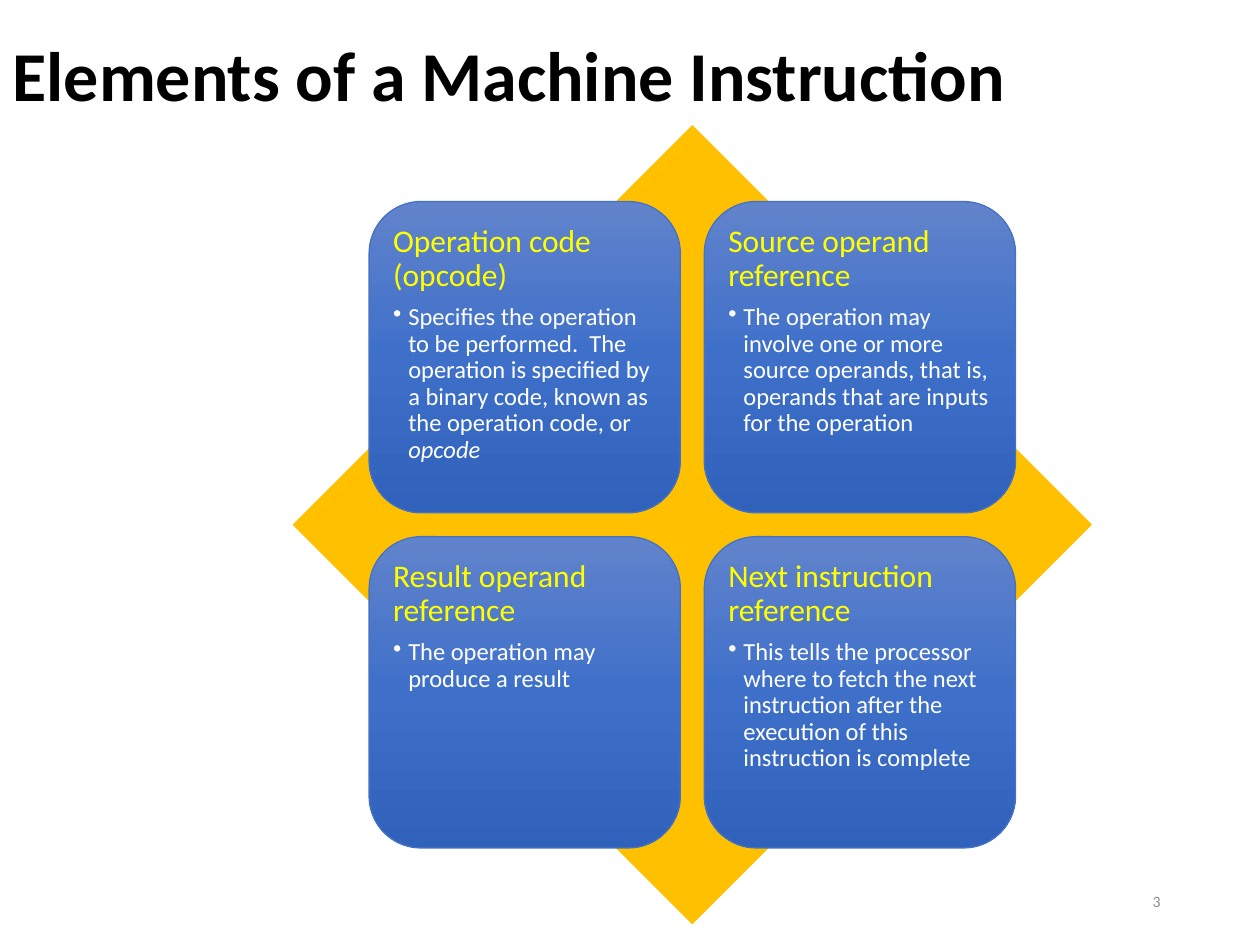
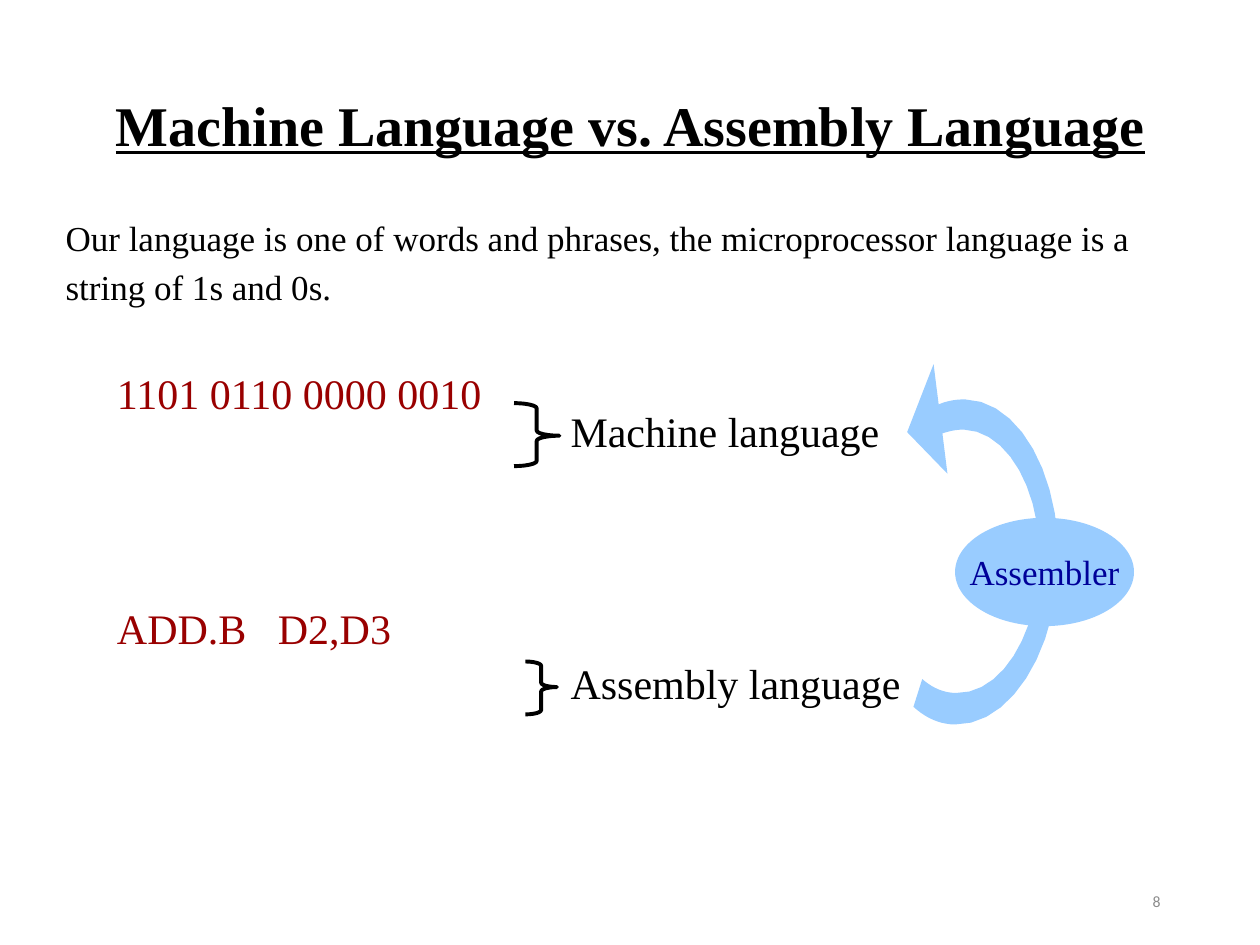
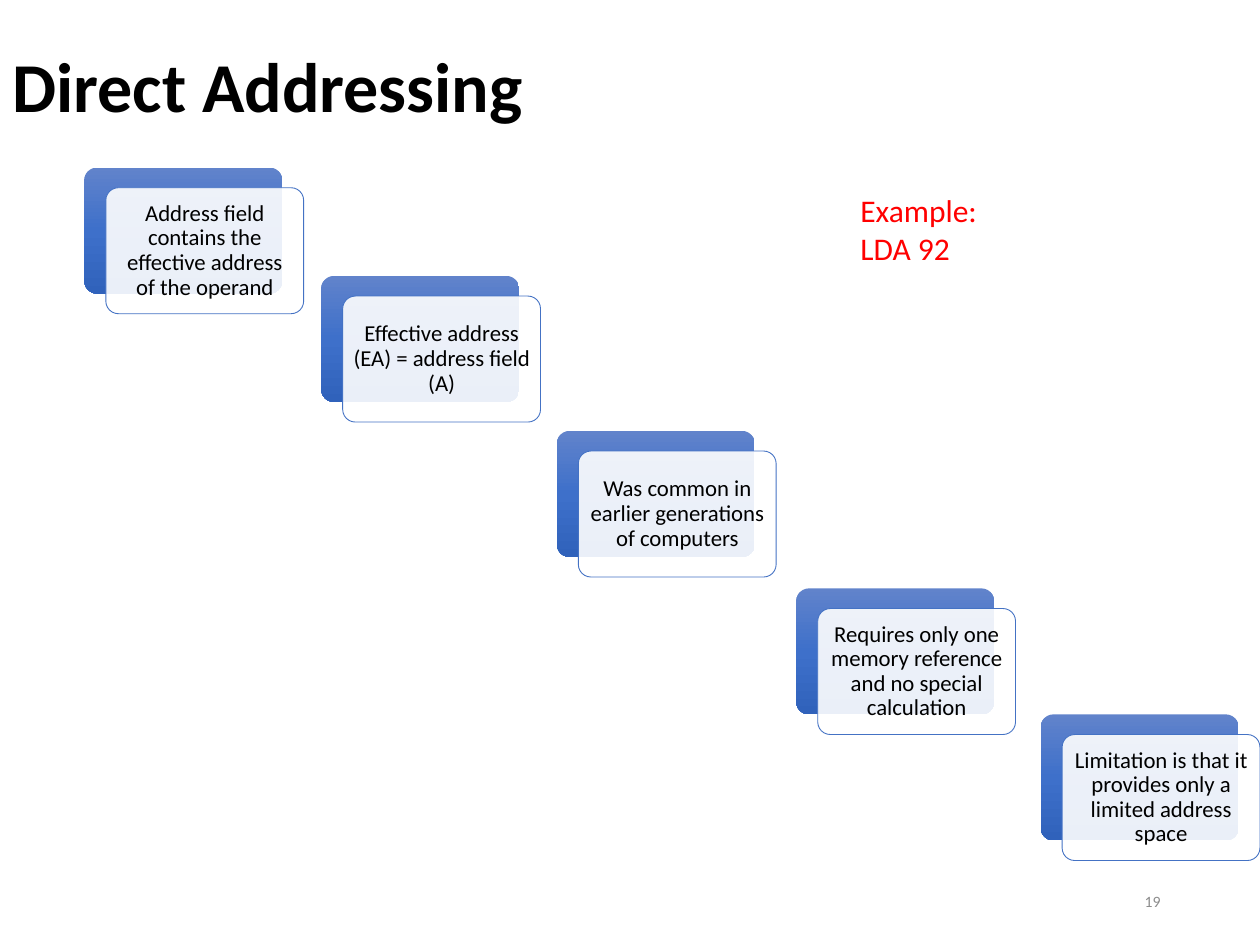
from copy import deepcopy

from pptx import Presentation
from pptx.dml.color import RGBColor
from pptx.enum.shapes import MSO_SHAPE
from pptx.enum.text import MSO_ANCHOR, MSO_AUTO_SIZE, PP_ALIGN
from pptx.oxml.ns import qn
from pptx.oxml.xmlchemy import OxmlElement
from pptx.util import Inches, Pt

SANS, SERIF = "Calibri", "Times New Roman"
BLACK, WHITE, GRAY = "000000", "FFFFFF", "8C8C8C"
BLUE, GOLD, YELLOW, RED = "4472C4", "FFC000", "FFFF00", "FF0000"
SKY, NAVY, MAROON = "99CCFF", "000099", "990000"
BLUE_GRADIENT = ["6183CB", "3E70CA", "3062BB"]
TITLE_ONLY, TITLE_AND_BODY = 5, 1


def color(value):
    return RGBColor.from_string(value)


def add_child(parent, tag, **attributes):
    child = OxmlElement(tag)
    for name, value in attributes.items():
        child.set(name, str(value))
    parent.append(child)


def write(para, text, size=18, fill=BLACK, font=SANS, bold=False, italic=False, underline=False):
    span = para.add_run()
    span.text = text
    style = span.font
    style.name, style.size = font, Pt(size)
    style.bold, style.italic, style.underline = bold, italic, underline
    style.color.rgb = color(fill)


def add_para(frame, align=PP_ALIGN.LEFT, spacing=1.0, after=0, bullet=None, indent=0):
    first = frame.paragraphs[0]
    para = frame.add_paragraph() if first.runs else first
    para.alignment, para.line_spacing = align, spacing
    para.space_before, para.space_after = Pt(0), Pt(after)
    properties = para._p.get_or_add_pPr()
    properties.set("marL", str(Inches(indent)))
    properties.set("indent", str(-Inches(indent)))
    if bullet:
        add_child(properties, "a:buChar", char=bullet)
    else:
        add_child(properties, "a:buNone")
    return para


def set_frame(frame, anchor=MSO_ANCHOR.TOP, inset=None, wrap=True):
    frame.auto_size = MSO_AUTO_SIZE.NONE
    frame.word_wrap, frame.vertical_anchor = wrap, anchor
    if inset is not None:
        frame.margin_left = frame.margin_right = Inches(inset)
        frame.margin_top = frame.margin_bottom = Inches(inset)
    return frame


def bezier(start, first, second, end, steps=10):
    points = []
    for step in range(1, steps + 1):
        t = step / steps
        weights = ((1 - t) ** 3, 3 * t * (1 - t) ** 2, 3 * t ** 2 * (1 - t), t ** 3)
        corners = (start, first, second, end)
        points.append(tuple(sum(w * c[axis] for w, c in zip(weights, corners)) for axis in (0, 1)))
    return points


class SlideBuilder:
    """Holds the shared style and adds elements to the current slide."""

    def __init__(self):
        self.deck = Presentation()
        self.deck.slide_width, self.deck.slide_height = Inches(10), Inches(7.5)

    def new_slide(self, number, layout=TITLE_ONLY):
        self.slide = self.deck.slides.add_slide(self.deck.slide_layouts[layout])
        frame = self.text_box(7.06, 6.95, 2.25, 0.4, anchor=MSO_ANCHOR.MIDDLE)
        write(add_para(frame, align=PP_ALIGN.RIGHT), str(number), size=9, fill=GRAY)

    def place(self, shape, left, top, width, height):
        shape.left, shape.top = Inches(left), Inches(top)
        shape.width, shape.height = Inches(width), Inches(height)
        return shape

    def title(self, text, left, top, width, height, anchor=MSO_ANCHOR.MIDDLE,
              align=PP_ALIGN.LEFT, spacing=0.9, size=40, **style):
        holder = self.place(self.slide.shapes.title, left, top, width, height)
        frame = set_frame(holder.text_frame, anchor)
        write(add_para(frame, align, spacing), text, size=size, bold=True, **style)

    def body(self, left, top, width, height):
        holder = self.place(self.slide.placeholders[1], left, top, width, height)
        return set_frame(holder.text_frame)

    def text_box(self, left, top, width, height, anchor=MSO_ANCHOR.TOP):
        box = self.slide.shapes.add_textbox(*map(Inches, (left, top, width, height)))
        return set_frame(box.text_frame, anchor)

    def label(self, text, left, top, width, height=0.5, **style):
        write(add_para(self.text_box(left, top, width, height)), text, **style)

    def paint(self, shape, fill=None, line=None, weight=0.75, alpha=None):
        shape.shadow.inherit = False
        if isinstance(fill, list):
            self.gradient(shape, fill)
        elif fill:
            shape.fill.solid()
            shape.fill.fore_color.rgb = color(fill)
        else:
            shape.fill.background()
        if alpha:
            paint = shape._element.spPr.find(qn("a:solidFill"))[0]
            add_child(paint, "a:alpha", val=alpha * 1000)
        if line:
            shape.line.color.rgb = color(line)
            shape.line.width = Pt(weight)
        else:
            shape.line.fill.background()
        return shape

    def gradient(self, shape, shades):
        shape.fill.gradient()
        shape.fill.gradient_angle = 270
        stops = shape._element.spPr.find(qn("a:gradFill")).find(qn("a:gsLst"))
        while len(stops) < len(shades):
            stops.append(deepcopy(stops[0]))
        for index, (stop, shade) in enumerate(zip(shape.fill.gradient_stops, shades)):
            stop.position = index / (len(shades) - 1)
            stop.color.rgb = color(shade)

    def shape(self, kind, left, top, width, height, adjust=(), **look):
        shape = self.slide.shapes.add_shape(kind, *map(Inches, (left, top, width, height)))
        for index, value in enumerate(adjust):
            shape.adjustments[index] = value
        return self.paint(shape, **look)

    def outline(self, points, **look):
        start, *rest = [(Inches(x), Inches(y)) for x, y in points]
        builder = self.slide.shapes.build_freeform(*start)
        builder.add_line_segments(rest, close=True)
        return self.paint(builder.convert_to_shape(), **look)

    def panel(self, left, top, heading, detail, emphasis):
        shape = self.shape(MSO_SHAPE.ROUNDED_RECTANGLE, left, top, 2.47, 2.47,
                           fill=BLUE_GRADIENT, line=BLUE)
        frame = set_frame(shape.text_frame, inset=0.07)
        write(add_para(frame, spacing=0.9, after=6.3), heading, fill=YELLOW)
        para = add_para(frame, spacing=0.9, after=2.1, bullet="•", indent=0.12)
        write(para, detail, size=14, fill=WHITE)
        if emphasis:
            write(para, emphasis, size=14, fill=WHITE, italic=True)

    def card(self, left, top, text):
        size, corner = (1.57, 1), [0.1]
        self.shape(MSO_SHAPE.ROUNDED_RECTANGLE, left, top, *size, adjust=corner, fill=BLUE_GRADIENT)
        front = self.shape(MSO_SHAPE.ROUNDED_RECTANGLE, left + 0.17, top + 0.16, *size,
                           adjust=corner, fill=WHITE, alpha=90, line=BLUE, weight=0.5)
        frame = set_frame(front.text_frame, MSO_ANCHOR.MIDDLE, inset=0.05)
        write(add_para(frame, PP_ALIGN.CENTER, spacing=0.9), text, size=13)

    def brace(self, left, top, width, height, adjust):
        self.shape(MSO_SHAPE.RIGHT_BRACE, left, top, width, height, adjust,
                   line=BLACK, weight=2.25)


def build_elements(page):
    page.new_slide(3)
    page.title("Elements of a Machine Instruction", 0, 0.25, 8.26, 0.75)
    page.shape(MSO_SHAPE.DIAMOND, 2.33, 1, 6.33, 6.33, fill=GOLD, line=GOLD)
    panels = [
        ("Operation code (opcode)",
         "Specifies the operation to be performed.  The operation is specified by "
         "a binary code, known as the operation code, or ", "opcode"),
        ("Source operand reference",
         "The operation may involve one or more source operands, that is, "
         "operands that are inputs for the operation", ""),
        ("Result operand reference", "The operation may produce a result", ""),
        ("Next instruction reference",
         "This tells the processor where to fetch the next instruction after the "
         "execution of this instruction is complete", ""),
    ]
    for index, content in enumerate(panels):
        row, column = divmod(index, 2)
        page.panel(2.93 + 2.66 * column, 1.6 + 2.66 * row, *content)


def build_languages(page):
    page.new_slide(8, TITLE_AND_BODY)
    page.title("Machine Language vs. Assembly Language", 0.42, 0.67, 9.17, 0.7,
               anchor=MSO_ANCHOR.TOP, align=PP_ALIGN.CENTER, spacing=1.0, size=32,
               font=SERIF, underline=True)
    para = add_para(page.body(0.42, 1.67, 9.17, 0.9))
    write(para, "Our language is one of words and phrases, the microprocessor language "
          "is a string of 1s and 0s.", size=20, font=SERIF)
    write(para, " ", size=24, font=SERIF)

    for text, top in (("1101 0110 0000 0010", 2.87), ("ADD.B   D2,D3", 4.73)):
        page.label(text, 0.83, top, 3.33, size=24, font=SERIF, fill=MAROON)
    page.brace(4.08, 3.2, 0.36, 0.5, (0.114, 0.517))
    page.brace(4.17, 5.25, 0.25, 0.42, (0.139, 0.483))
    for text, top in (("Machine language", 3.17), ("Assembly language", 5.17)):
        page.label(text, 4.43, top, 2.9, size=24, font=SERIF)

    arrow = [(7.48, 3.44)]
    inner = [((7.54, 3.42), (7.59, 3.41), (7.65, 3.41)),
             ((8, 3.42), (8.27, 3.9), (8.25, 4.48)),
             ((8.23, 5.05), (7.94, 5.51), (7.59, 5.5)),
             ((7.49, 5.5), (7.4, 5.46), (7.32, 5.39))]
    outer = [((7.35, 5.7), (7.46, 5.75), (7.58, 5.75)),
             ((8.01, 5.76), (8.38, 5.19), (8.4, 4.48)),
             ((8.42, 3.77), (8.09, 3.18), (7.66, 3.17)),
             ((7.59, 3.17), (7.52, 3.18), (7.45, 3.21))]
    for curve in inner:
        arrow += bezier(arrow[-1], *curve)
    arrow.append((7.25, 5.61))
    for curve in outer:
        arrow += bezier(arrow[-1], *curve)
    arrow += [(7.41, 2.89), (7.2, 3.43), (7.52, 3.76)]
    page.outline(arrow, fill=SKY)

    oval = page.shape(MSO_SHAPE.OVAL, 7.58, 4.11, 1.42, 0.86, fill=SKY)
    frame = set_frame(oval.text_frame, MSO_ANCHOR.MIDDLE, wrap=False)
    write(add_para(frame, PP_ALIGN.CENTER), "Assembler", size=20, font=SERIF, fill=NAVY)


def build_addressing(page):
    page.new_slide(19)
    page.title("Direct Addressing", 0, 0.25, 8.26, 0.92)
    cards = [
        (0.67, 1.33, "Address field contains the effective address of the operand"),
        (2.55, 2.19, "Effective address (EA) = address field (A)"),
        (4.42, 3.42, "Was common in earlier generations of computers"),
        (6.32, 4.67, "Requires only one memory reference and no special calculation"),
        (8.26, 5.67, "Limitation is that it provides only a limited address space"),
    ]
    for left, top, text in cards:
        page.card(left, top, text)
    frame = page.text_box(6.73, 1.47, 2.05, 0.71)
    for text in ("Example:", "LDA 92"):
        write(add_para(frame), text, fill=RED)


page = SlideBuilder()
build_elements(page)
build_languages(page)
build_addressing(page)
page.deck.save("out.pptx")
